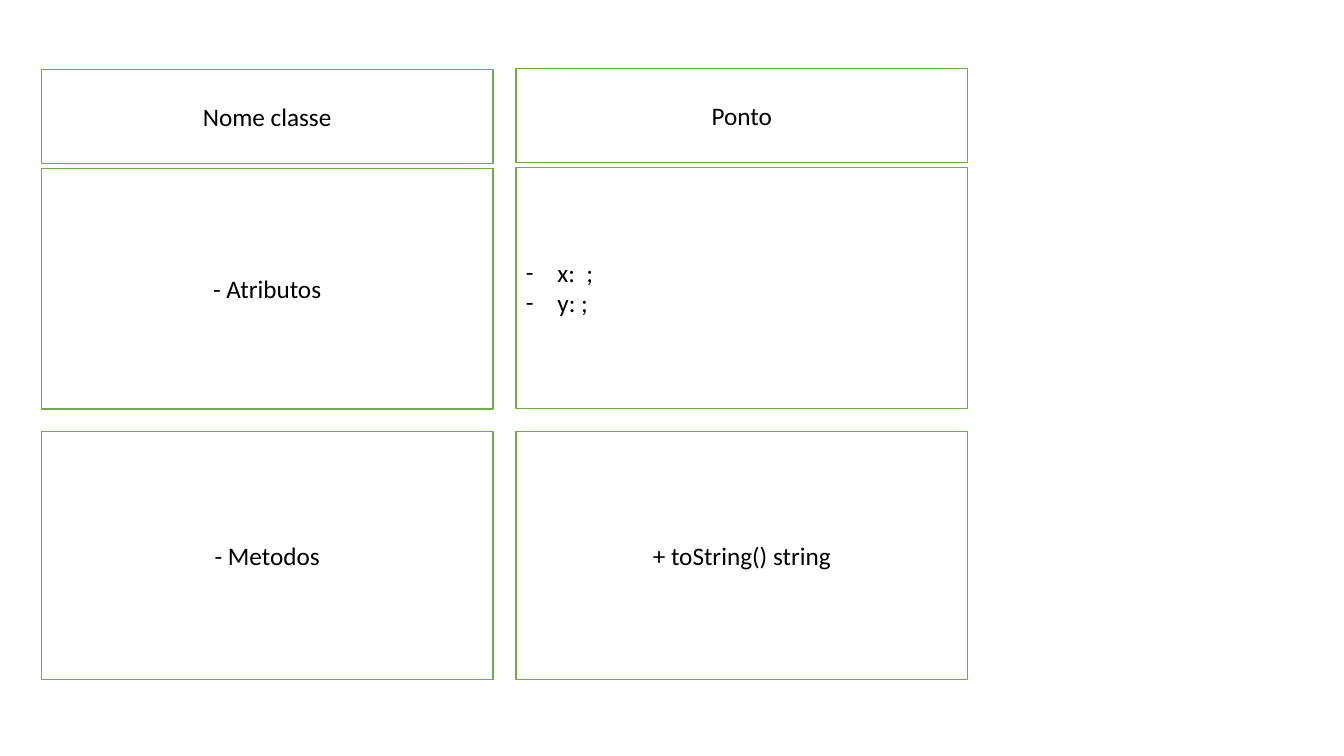
from dataclasses import dataclass

from lxml import etree
from pptx import Presentation
from pptx.dml.color import RGBColor
from pptx.enum.shapes import MSO_SHAPE
from pptx.enum.text import MSO_ANCHOR, PP_ALIGN
from pptx.oxml.ns import qn
from pptx.util import Pt

RECT = MSO_SHAPE.RECTANGLE
MIDDLE = MSO_ANCHOR.MIDDLE
CENTER, LEFT = PP_ALIGN.CENTER, PP_ALIGN.LEFT
BLANK_LAYOUT = 6


@dataclass(frozen=True)
class Theme:
    """Colours, font and sizes of the slide."""
    fill: RGBColor = RGBColor(0xFF, 0xFF, 0xFF)
    line: RGBColor = RGBColor(0x70, 0xAD, 0x47)
    text: RGBColor = RGBColor(0, 0, 0)
    font: str = "Calibri"
    size: float = 18
    line_width: float = 1


@dataclass(frozen=True)
class Row:
    """Vertical band of a class diagram, in points."""
    top: float
    height: float


@dataclass(frozen=True)
class Box:
    """One compartment of a class diagram."""
    lines: tuple[str, ...]
    bulleted: bool = False


@dataclass(frozen=True)
class ClassDiagram:
    """A column of compartments; header_lift raises the first two."""
    left: float
    boxes: tuple[Box, ...]
    header_lift: float = 0


THEME = Theme()
BOX_WIDTH = 322.6
BULLET_INDENT = 22.5
ROWS = (Row(49.7, 67), Row(120.2, 172.1), Row(308.2, 177.1))
DIAGRAMS = (
    ClassDiagram(29.5, (Box(("Nome classe",)),
                        Box(("- Atributos",)),
                        Box(("- Metodos",)))),
    ClassDiagram(368.6, (Box(("Ponto",)),
                         Box(("x:  ;", "y: ;"), bulleted=True),
                         Box(("+ toString() string",))), header_lift=0.7),
)


def write(p, text: str, *, align=CENTER, bulleted: bool = False) -> None:
    """Put formatted text in a paragraph, with a dash bullet if asked."""
    p.alignment = align
    r = p.add_run()
    r.text = text
    r.font.name = THEME.font
    r.font.size = Pt(THEME.size)
    r.font.color.rgb = THEME.text
    if bulleted:
        pPr = p._p.get_or_add_pPr()
        pPr.set("marL", str(Pt(BULLET_INDENT)))
        pPr.set("indent", str(-Pt(BULLET_INDENT)))
        etree.SubElement(pPr, qn("a:buFont"), typeface=THEME.font)
        etree.SubElement(pPr, qn("a:buChar"), char="-")


def draw_box(s, box: Box, left: float, top: float, height: float) -> None:
    """Draw one outlined compartment with its text."""
    sp = s.shapes.add_shape(RECT, Pt(left), Pt(top), Pt(BOX_WIDTH), Pt(height))
    sp.shadow.inherit = False
    sp.fill.solid()
    sp.fill.fore_color.rgb = THEME.fill
    sp.line.color.rgb = THEME.line
    sp.line.width = Pt(THEME.line_width)
    tf = sp.text_frame
    tf.word_wrap = True
    tf.vertical_anchor = MIDDLE
    for i, text in enumerate(box.lines):
        p = tf.add_paragraph() if i else tf.paragraphs[0]
        write(p, text, align=LEFT if box.bulleted else CENTER,
              bulleted=box.bulleted)


def draw_diagram(s, diagram: ClassDiagram) -> None:
    """Draw the compartments of a class from top to bottom."""
    for i, (row, box) in enumerate(zip(ROWS, diagram.boxes)):
        lift = diagram.header_lift if i < 2 else 0
        draw_box(s, box, diagram.left, row.top - lift, row.height)


def main() -> None:
    """Build and save the slide."""
    prs = Presentation()
    prs.slide_width, prs.slide_height = Pt(960), Pt(540)
    s = prs.slides.add_slide(prs.slide_layouts[BLANK_LAYOUT])
    for diagram in DIAGRAMS:
        draw_diagram(s, diagram)
    prs.save("out.pptx")


main()
